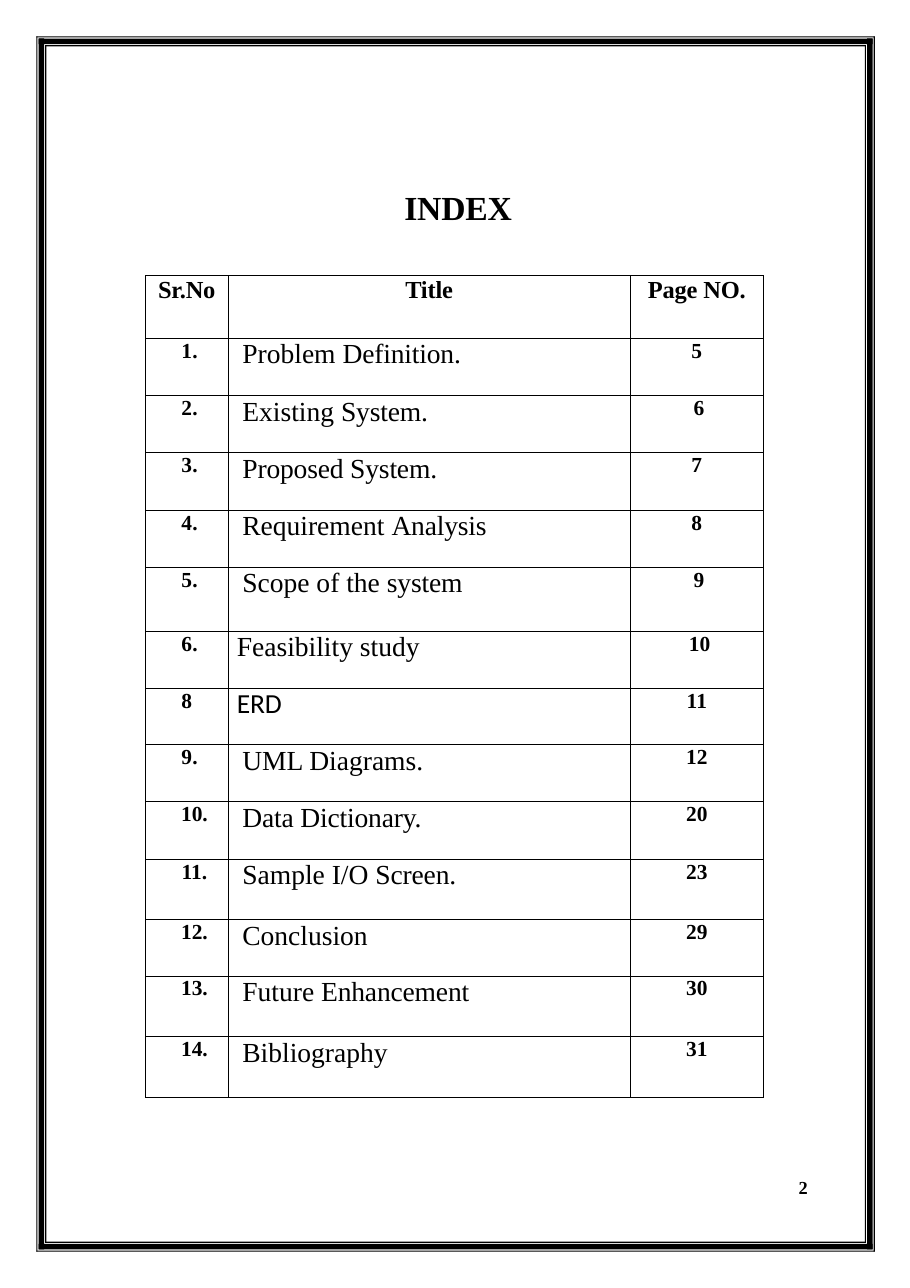
import pptx
import pptx.util
import pptx.dml.color
import pptx.enum.text
import pptx.oxml.ns
import lxml.etree

INK = "000000"
FACE = "Times New Roman"
WIDE, HIGH = 8.26, 11.69
FRAME = (0.33, 0.33, 7.94, 11.36)
BANDS = ((0, 0.01), (0.02, 0.05), (0.08, 0.01))
COLS = (0.75, 3.65, 1.21)
ROWS = (0.57, 0.52, 0.52, 0.52, 0.52, 0.58, 0.52,
        0.51, 0.52, 0.52, 0.55, 0.51, 0.55, 0.55)
HEADS = ("Sr.No", "Title", "Page NO.")
ITEMS = (
    ("1.", "Problem |Definition.", "5"),
    ("2.", "Existing |System.", "6"),
    ("3.", "|Proposed System.", "7"),
    ("4.", "Requirement |Analysis", "8"),
    ("5.", "Scope of the |system", "9"),
    ("6.", "Feasibility study", "10"),
    ("8", "|ERD", "11"),
    ("9.", "UML Diagrams.", "12"),
    ("10.", "|Data Dictionary.", "20"),
    ("11.", "Sample I/O |Screen.", "23"),
    ("12.", "Conclusion", "29"),
    ("13.", "Future |Enhancement", "30"),
    ("14.", "Bibliography", "31"),
)
NUMBER_INSET = {1: 0, 2: 0.05, 3: 0.14}
TITLE_INSET = {"6.": 0.08, "8": 0.08}
PAGE_INSET = {"6": 0.04, "9": 0.04, "10": 0.05}
TITLE_FACE = {"8": "Calibri"}
TITLE_LINE = {"8": 21.1}

Inches = pptx.util.Inches
Pt = pptx.util.Pt
CENTER = pptx.enum.text.PP_ALIGN.CENTER


def color(code):
    return pptx.dml.color.RGBColor.from_string(code)


def apply(item, values):
    for name, value in values.items():
        setattr(item, name, value)


class Page:
    def __init__(self, deck):
        self.slide = deck.slides.add_slide(deck.slide_layouts[6])
        self.shapes = self.slide.shapes
        self.margins = {
            "margin_left": 0, "margin_right": 0,
            "margin_top": 0, "margin_bottom": 0,
        }

    def text(self, frame, runs, size, inset=0, face=FACE, bold=True, **layout):
        para = frame.paragraphs[0]
        apply(para, layout)
        para._p.get_or_add_pPr().set("marL", str(Inches(inset)))
        for words, gap in runs:
            run = para.add_run()
            run.text = words
            apply(run.font, {"size": Pt(size), "name": face, "bold": bold})
            run.font.color.rgb = color(INK)
            run._r.get_or_add_rPr().set("spc", str(gap))

    def label(self, box, runs, size, **layout):
        shape = self.shapes.add_textbox(*map(Inches, box))
        frame = shape.text_frame
        apply(frame, self.margins)
        apply(frame, {
            "word_wrap": True,
            "auto_size": pptx.enum.text.MSO_AUTO_SIZE.SHAPE_TO_FIT_TEXT,
        })
        self.text(frame, runs, size, **layout)

    def bars(self, boxes):
        pen = None
        for box in boxes:
            left, top, right, bottom = map(Inches, box)
            if pen is None:
                pen = self.shapes.build_freeform(left, top)
            else:
                pen.move_to(left, top)
            pen.add_line_segments(
                [(right, top), (right, bottom), (left, bottom)], close=True)
        shape = pen.convert_to_shape()
        shape.shadow.inherit = False
        shape.fill.solid()
        shape.fill.fore_color.rgb = color(INK)
        shape.line.fill.background()

    def border(self):
        left, top, right, bottom = FRAME
        sides = ([], [], [], [])
        for off, thick in BANDS:
            a, b, c, d = left + off, top + off, right - off, bottom - off
            boxes = ((a, b, a + thick, d), (c - thick, b, c, d),
                     (a, b, c, b + thick), (a, d - thick, c, d))
            for side, box in zip(sides, boxes):
                side.append(box)
        for side in sides:
            self.bars(side)

    def edge(self, cell):
        props = cell._tc.get_or_add_tcPr()
        tag = pptx.oxml.ns.qn
        for spot, side in enumerate(("a:lnL", "a:lnR", "a:lnT", "a:lnB")):
            line = lxml.etree.Element(tag(side), w=str(Pt(0.5)))
            fill = lxml.etree.SubElement(line, tag("a:solidFill"))
            lxml.etree.SubElement(fill, tag("a:srgbClr"), val=INK)
            props.insert(spot, line)

    def grid(self, left, top):
        box = map(Inches, (left, top, sum(COLS), sum(ROWS)))
        table = self.shapes.add_table(len(ROWS), len(COLS), *box).table
        apply(table, {"first_row": False, "horz_banding": False})
        for col, width in zip(table.columns, COLS):
            col.width = Inches(width)
        for row, height in zip(table.rows, ROWS):
            row.height = Inches(height)
        for cell in table.iter_cells():
            apply(cell, self.margins)
            cell.fill.background()
            self.edge(cell)
        return table

    def index(self, left, top):
        table = self.grid(left, top)
        for col, head in enumerate(HEADS):
            self.text(table.cell(0, col).text_frame, [(head, -10)], 16,
                      alignment=CENTER, line_spacing=Pt(18.3))
        for row, (number, title, leaf) in enumerate(ITEMS, 1):
            first, middle, last = (
                table.cell(row, col).text_frame for col in range(3))
            for frame, words, inset in (
                    (first, number, NUMBER_INSET[len(number)]),
                    (last, leaf, PAGE_INSET.get(leaf, 0))):
                gap = 10 if len(words) == 2 else 0
                self.text(frame, [(words, gap)], 14, inset,
                          alignment=CENTER, line_spacing=Pt(16.1))
            parts = zip(title.split("|"), (0, -10))
            self.text(middle, [part for part in parts if part[0]], 18,
                      TITLE_INSET.get(number, 0.13),
                      TITLE_FACE.get(number, FACE), False,
                      line_spacing=Pt(TITLE_LINE.get(number, 20.6)))


def main():
    deck = pptx.Presentation()
    apply(deck, {"slide_width": Inches(WIDE), "slide_height": Inches(HIGH)})
    page = Page(deck)
    page.border()
    page.label((3.66, 1.7, 1.01, 0.39), [("INDEX", -10)], 22,
               inset=0.01, space_before=Pt(0.9))
    page.label((7.21, 10.68, 0.25, 0.21), [("2", 0)], 12,
               inset=0.04, line_spacing=Pt(14.1))
    page.index(1.32, 2.5)
    deck.save("out.pptx")


if __name__ == "__main__":
    main()
